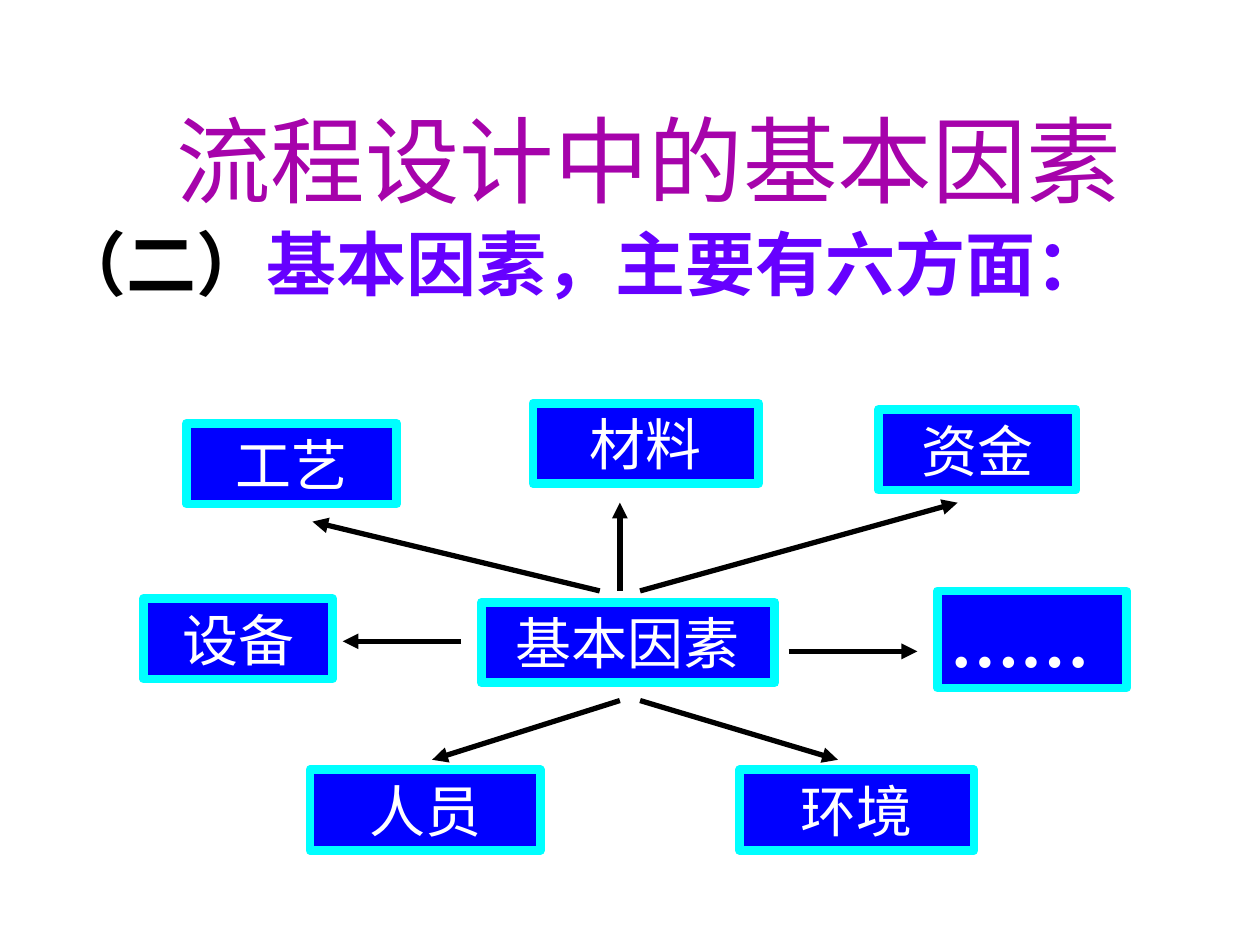
from lxml import etree
from pptx import Presentation
from pptx import util as u
from pptx.dml.color import RGBColor
from pptx.enum import shapes, text
from pptx.oxml.ns import qn

CJK = "Noto Sans CJK SC"
LATIN = "Times New Roman"


def color(value):
    return RGBColor.from_string(value)


def apply(target, values):
    """Set each attribute named in a dict of format values."""
    for name, value in values.items():
        setattr(target, name, value)


class Diagram:
    """Holds the style and the current page."""
    fill, border, ink = "0000FF", "00FFFF", "000000"
    frame = {"word_wrap": True, "auto_size": text.MSO_AUTO_SIZE.NONE,
             "margin_left": u.Inches(0.1), "margin_right": u.Inches(0.1),
             "margin_top": u.Inches(0.05), "margin_bottom": u.Inches(0.05)}

    def __init__(self, page):
        self.page = page

    def add_words(self, box, spans, size, font=CJK, bold=False, frame=None, para=None):
        """Fill a box with one paragraph of (words, colour) spans."""
        apply(box.text_frame, {**self.frame, **(frame or {})})
        line = box.text_frame.paragraphs[0]
        apply(line, para or {})
        for words, hue in spans:
            span = line.add_run()
            span.text = words
            apply(span.font, {"name": font, "size": u.Pt(size), "bold": bold})
            span.font.color.rgb = color(hue)
            east_asian = etree.SubElement(span.font._element, qn("a:ea"))
            east_asian.set("typeface", font)
        return line

    def label(self, place, spans, size, **style):
        box = self.page.shapes.add_textbox(*map(u.Inches, place))
        return self.add_words(box, spans, size, **style)

    def node(self, place, words, size=32, align=text.PP_ALIGN.CENTER, **style):
        box = self.page.shapes.add_shape(
            shapes.MSO_SHAPE.RECTANGLE, *map(u.Inches, place))
        box.shadow.inherit = False
        box.fill.solid()
        box.fill.fore_color.rgb = color(self.fill)
        box.line.color.rgb = color(self.border)
        box.line.width = u.Pt(5)
        self.add_words(box, [(words, "FFFFFF")], size, para={"alignment": align},
                       frame={"vertical_anchor": text.MSO_ANCHOR.MIDDLE}, **style)

    def arrow(self, start, end):
        line = self.page.shapes.add_connector(
            shapes.MSO_CONNECTOR.STRAIGHT, *map(u.Inches, start + end))
        line.line.color.rgb = color(self.ink)
        line.line.width = u.Pt(3)
        etree.SubElement(line.line._get_or_add_ln(), qn("a:tailEnd"), type="triangle")
        etree.SubElement(line._element.spPr, qn("a:effectLst"))


def main():
    deck = Presentation()
    deck.slide_width, deck.slide_height = u.Inches(10), u.Inches(7.5)
    diagram = Diagram(deck.slides.add_slide(deck.slide_layouts[6]))

    heading = diagram.label(
        (0.35, 1.78, 9.34, 5.28),
        [("（二）", "000000"), ("基本因素，主要有六方面：", "6600FF")], 40, bold=True,
        para={"line_spacing": 0.9, "space_before": u.Pt(10)})
    indent = u.Inches(0.38)
    heading._p.get_or_add_pPr().set("marL", str(indent))
    heading._p.get_or_add_pPr().set("indent", str(-indent))
    diagram.label((1.3, 0.76, 7.5, 0.79), [("流程设计中的基本因素", "A603AB")], 54,
                  frame={"word_wrap": False})

    height = 0.64
    for words, left, top, width in [
            ("基本因素", 3.82, 4.78, 2.33), ("材料", 4.23, 3.2, 1.79),
            ("设备", 1.14, 4.75, 1.5), ("工艺", 1.48, 3.36, 1.67),
            ("资金", 6.97, 3.25, 1.57), ("环境", 5.87, 6.11, 1.86),
            ("人员", 2.46, 6.11, 1.83)]:
        diagram.node((left, top, width, height), words)
    diagram.node((7.44, 4.69, 1.5, 0.77), "……", size=40, font=LATIN, bold=True,
                 align=text.PP_ALIGN.LEFT)

    for start, end in [
            ((5.08, 5.56), (6.65, 6.03)), ((4.92, 5.56), (3.43, 6.03)),
            ((6.26, 5.17), (7.28, 5.17)), ((5.08, 4.69), (7.6, 3.99)),
            ((4.92, 4.69), (4.92, 3.99)), ((4.76, 4.69), (2.48, 4.14)),
            ((3.66, 5.09), (2.72, 5.09))]:
        diagram.arrow(start, end)

    deck.save("out.pptx")


if __name__ == "__main__":
    main()
